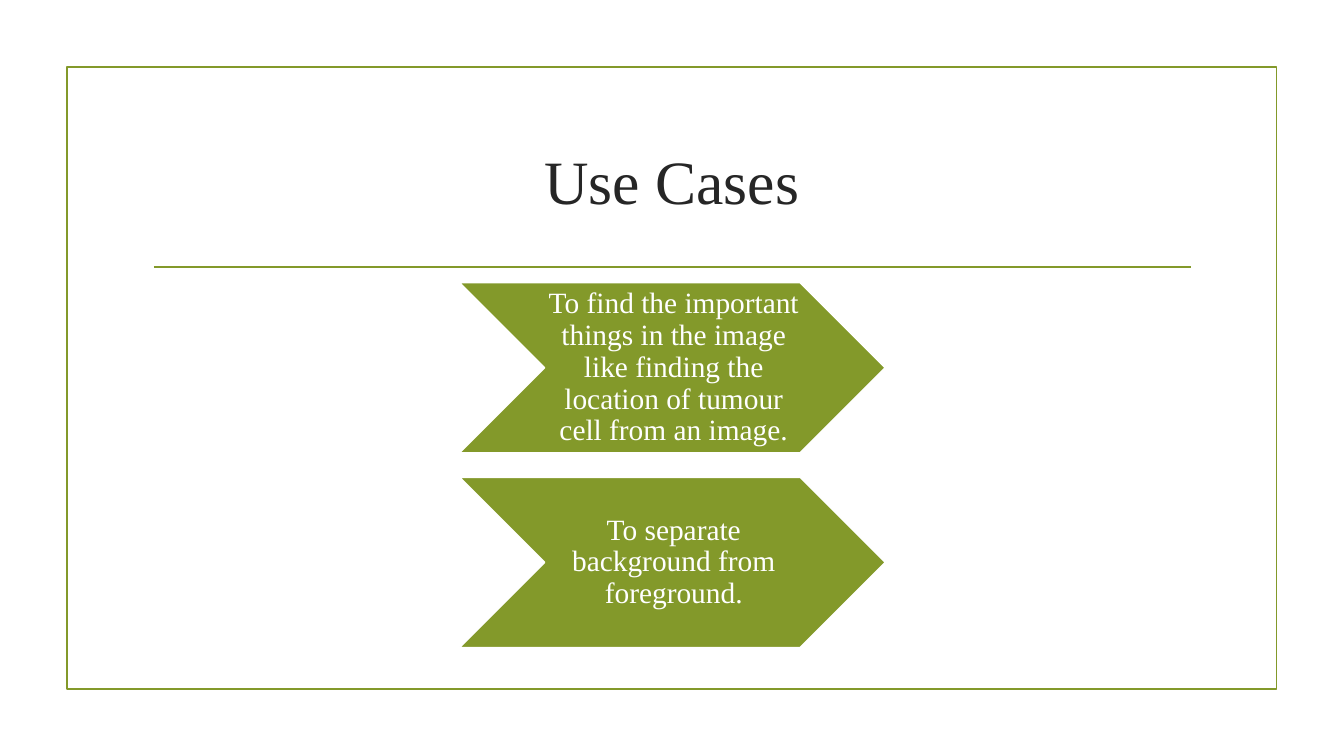
from pptx import Presentation
from pptx.dml.color import RGBColor
from pptx.enum.shapes import MSO_CONNECTOR, MSO_SHAPE
from pptx.enum.text import MSO_ANCHOR, PP_ALIGN
from pptx.oxml.ns import qn
from pptx.util import Pt
from lxml import etree

RECTANGLE = MSO_SHAPE.RECTANGLE
CHEVRON = MSO_SHAPE.CHEVRON
STRAIGHT = MSO_CONNECTOR.STRAIGHT
MIDDLE = MSO_ANCHOR.MIDDLE
CENTER = PP_ALIGN.CENTER

COLORS = {"olive": "83992A", "ink": "262626", "white": "FFFFFF"}


def color(name):
    return RGBColor.from_string(COLORS[name])


def write(frame, text, *, size, ink, font, spacing=1.0, insets=(7.2, 3.6, 7.2, 3.6)):
    frame.word_wrap = True
    frame.vertical_anchor = MIDDLE
    frame.margin_left, frame.margin_top, frame.margin_right, frame.margin_bottom = map(Pt, insets)
    para = frame.paragraphs[0]
    para.alignment = CENTER
    para.line_spacing = spacing
    span = para.add_run()
    span.text = text
    span.font.name = font
    span.font.size = Pt(size)
    span.font.color.rgb = color(ink)


class Painter:
    """Draws styled elements on the current page."""

    font = "Times New Roman"
    line_width = 1.25

    def __init__(self, page):
        self.page = page

    def stroke(self, line, ink):
        line.color.rgb = color(ink)
        line.width = Pt(self.line_width)

    def shape(self, kind, left, top, width, height, line, fill=None):
        shape = self.page.shapes.add_shape(kind, Pt(left), Pt(top), Pt(width), Pt(height))
        shape.shadow.inherit = False
        if fill:
            shape.fill.solid()
            shape.fill.fore_color.rgb = color(fill)
        else:
            shape.fill.background()
        self.stroke(shape.line, line)
        return shape

    def rule(self, left, right, top, ink):
        rule = self.page.shapes.add_connector(STRAIGHT, Pt(left), Pt(top), Pt(right), Pt(top))
        self.stroke(rule.line, ink)
        etree.SubElement(rule._element.spPr, qn("a:effectLst"))

    def text(self, text, left, top, width, height, **style):
        box = self.page.shapes.add_textbox(Pt(left), Pt(top), Pt(width), Pt(height))
        write(box.text_frame, text, font=self.font, **style)

    def use_case(self, text, left, top, width, height):
        notch = height / 2
        self.shape(CHEVRON, left, top, width, height, "white", "olive")
        self.text(text, left + notch, top, width - 2 * notch, height,
                  size=21, ink="white", spacing=0.9, insets=(2, 0.7, 0, 0.7))


def main():
    deck = Presentation()
    deck.slide_width, deck.slide_height = Pt(960), Pt(540)
    painter = Painter(deck.slides.add_slide(deck.slide_layouts[6]))

    painter.shape(RECTANGLE, 47.8, 48, 864, 444, "olive")
    painter.rule(110, 850.5, 190.8, "olive")
    painter.text("Use Cases", 102, 77, 756, 103, size=44, ink="ink")

    use_cases = [
        "To find the important things in the image like finding the location of tumour cell from an image.",
        "To separate background from foreground.",
    ]
    for row, use_case in enumerate(use_cases):
        painter.use_case(use_case, 328, 201.8 + row * 139, 304.5, 121.8)

    deck.save("out.pptx")


if __name__ == "__main__":
    main()
